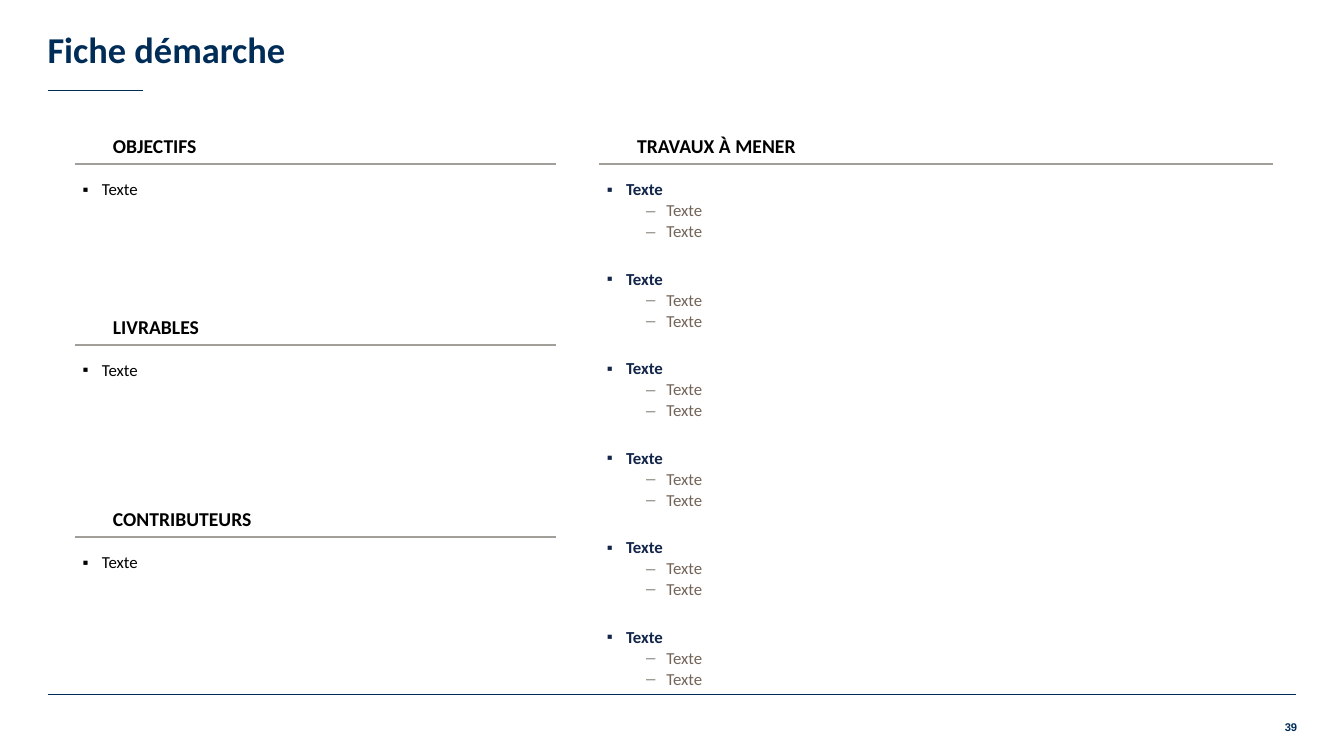
import pptx
import pptx.util
import pptx.dml.color
import pptx.enum.shapes
import pptx.enum.text
import pptx.oxml.ns
from lxml import etree

Pt = pptx.util.Pt
ANCHOR = pptx.enum.text.MSO_ANCHOR
ALIGN = pptx.enum.text.PP_ALIGN

COLORS = {
    "navy": "002C58",
    "item": "13264A",
    "subitem": "746458",
    "dash": "8A857E",
    "rule": "A29E9A",
    "black": "000000",
    "white": "FFFFFF",
}


def rgb(name):
    return pptx.dml.color.RGBColor.from_string(COLORS[name])


def add_bullet(p, char, color):
    pPr = p._p.get_or_add_pPr()
    buClr = etree.SubElement(pPr, pptx.oxml.ns.qn("a:buClr"))
    etree.SubElement(buClr, pptx.oxml.ns.qn("a:srgbClr"), val=COLORS[color])
    etree.SubElement(pPr, pptx.oxml.ns.qn("a:buFont"), typeface="Arial")
    etree.SubElement(pPr, pptx.oxml.ns.qn("a:buChar"), char=char)


def write(p, text, size=12, color="black", bold=False, font="Calibri", align=ALIGN.LEFT,
          left=0, indent=0, before=0, line=0.9, bullet=None, bullet_color=None):
    pPr = p._p.get_or_add_pPr()
    pPr.set("marL", str(Pt(left)))
    pPr.set("indent", str(Pt(indent)))
    if bullet:
        add_bullet(p, bullet, bullet_color or color)
    p.alignment = align
    p.line_spacing = line
    p.space_before = Pt(before)
    r = p.add_run()
    r.text = text
    r.font.name = font
    r.font.size = Pt(size)
    r.font.bold = bold
    r.font.color.rgb = rgb(color)


def set_frame(sp, anchor, insets):
    tf = sp.text_frame
    tf.word_wrap = True
    tf.vertical_anchor = anchor
    tf.margin_left, tf.margin_top, tf.margin_right, tf.margin_bottom = map(Pt, insets)
    return tf


def add_text(s, x, y, w, h, anchor=ANCHOR.TOP, insets=(0, 0, 0, 0)):
    return set_frame(s.shapes.add_textbox(Pt(x), Pt(y), Pt(w), Pt(h)), anchor, insets)


def add_panel(s, x, y, w, h, insets):
    rect = pptx.enum.shapes.MSO_SHAPE.RECTANGLE
    sp = s.shapes.add_shape(rect, Pt(x), Pt(y), Pt(w), Pt(h))
    sp.shadow.inherit = False
    sp.fill.solid()
    sp.fill.fore_color.rgb = rgb("white")
    sp.line.fill.background()
    return set_frame(sp, ANCHOR.TOP, insets)


def add_rule(s, x1, x2, y, color, width):
    straight = pptx.enum.shapes.MSO_CONNECTOR.STRAIGHT
    cn = s.shapes.add_connector(straight, Pt(x1), Pt(y), Pt(x2), Pt(y))
    cn.line.color.rgb = rgb(color)
    cn.line.width = Pt(width)
    etree.SubElement(cn._element.spPr, pptx.oxml.ns.qn("a:effectLst"))


def add_section(s, heading, x, w, rule_y, body_h):
    tf = add_text(s, x, rule_y - 24.2, w, 24.5, ANCHOR.MIDDLE, (5.8, 0, 0, 0))
    write(tf.paragraphs[0], heading, size=14, bold=True, left=21.6)
    tf = add_panel(s, x, rule_y + 6.4, w, body_h, (5.8, 5.8, 5.8, 3.6))
    add_rule(s, x, x + w, rule_y, "rule", 1.5)
    return tf


def add_item(p, text, **style):
    write(p, text, left=13.7, indent=-13.7, bullet="▪", **style)


def add_tasks(tf, tasks):
    for i, (task, steps) in enumerate(tasks):
        p = tf.add_paragraph() if i else tf.paragraphs[0]
        add_item(p, task, color="item", bold=True, before=21 if i else 0)
        for step in steps:
            p = tf.add_paragraph()
            p.level = 1
            write(p, step, color="subitem", left=42.5, indent=-14.4, before=2,
                  bullet="–", bullet_color="dash")


def main():
    prs = pptx.Presentation()
    prs.slide_width = Pt(960)
    prs.slide_height = Pt(540)
    s = prs.slides.add_slide(prs.slide_layouts[6])

    add_rule(s, 34, 926, 496, "navy", 0.75)
    add_rule(s, 34, 102, 64.4, "navy", 0.75)
    tf = add_text(s, 34, 0, 892, 52.6, ANCHOR.BOTTOM, (0, 3.6, 1.4, 1.4))
    write(tf.paragraphs[0], "Fiche démarche", size=26, color="navy", bold=True)

    for heading, rule_y, body_h in (
        ("OBJECTIFS", 117.4, 82.8),
        ("LIVRABLES", 246.2, 92.2),
        ("CONTRIBUTEURS", 383.8, 102.2),
    ):
        tf = add_section(s, heading, 53.3, 344, rule_y, body_h)
        add_item(tf.paragraphs[0], "Texte")

    tf = add_section(s, "TRAVAUX À MENER", 427.7, 481.6, 117.4, 368.6)
    add_tasks(tf, [("Texte", ("Texte", "Texte"))] * 6)

    tf = add_text(s, 898.6, 514.8, 28, 14.4)
    write(tf.paragraphs[0], "39", size=8, color="navy", bold=True, font="Arial",
          align=ALIGN.RIGHT, line=1.0)

    prs.save("out.pptx")


if __name__ == "__main__":
    main()
